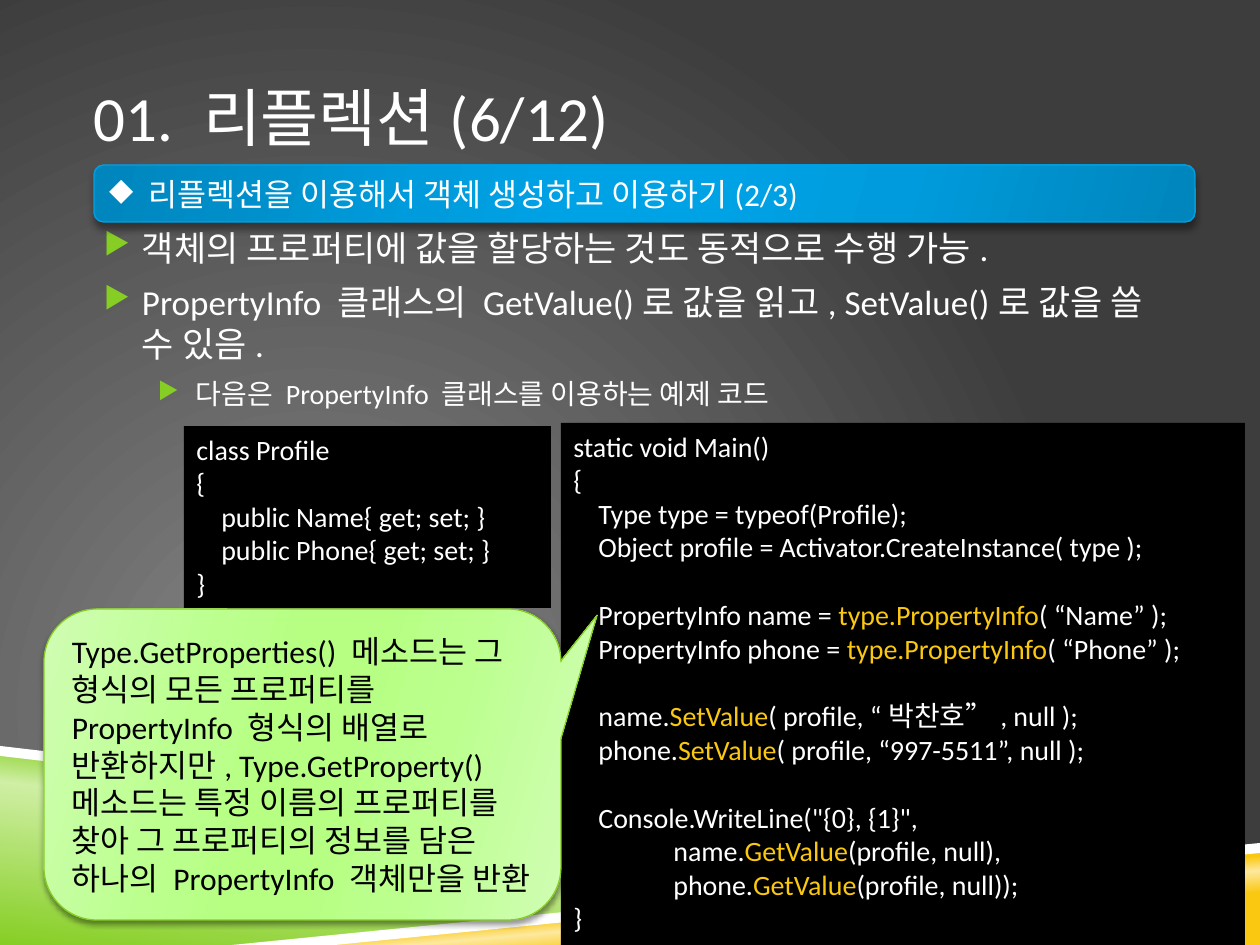
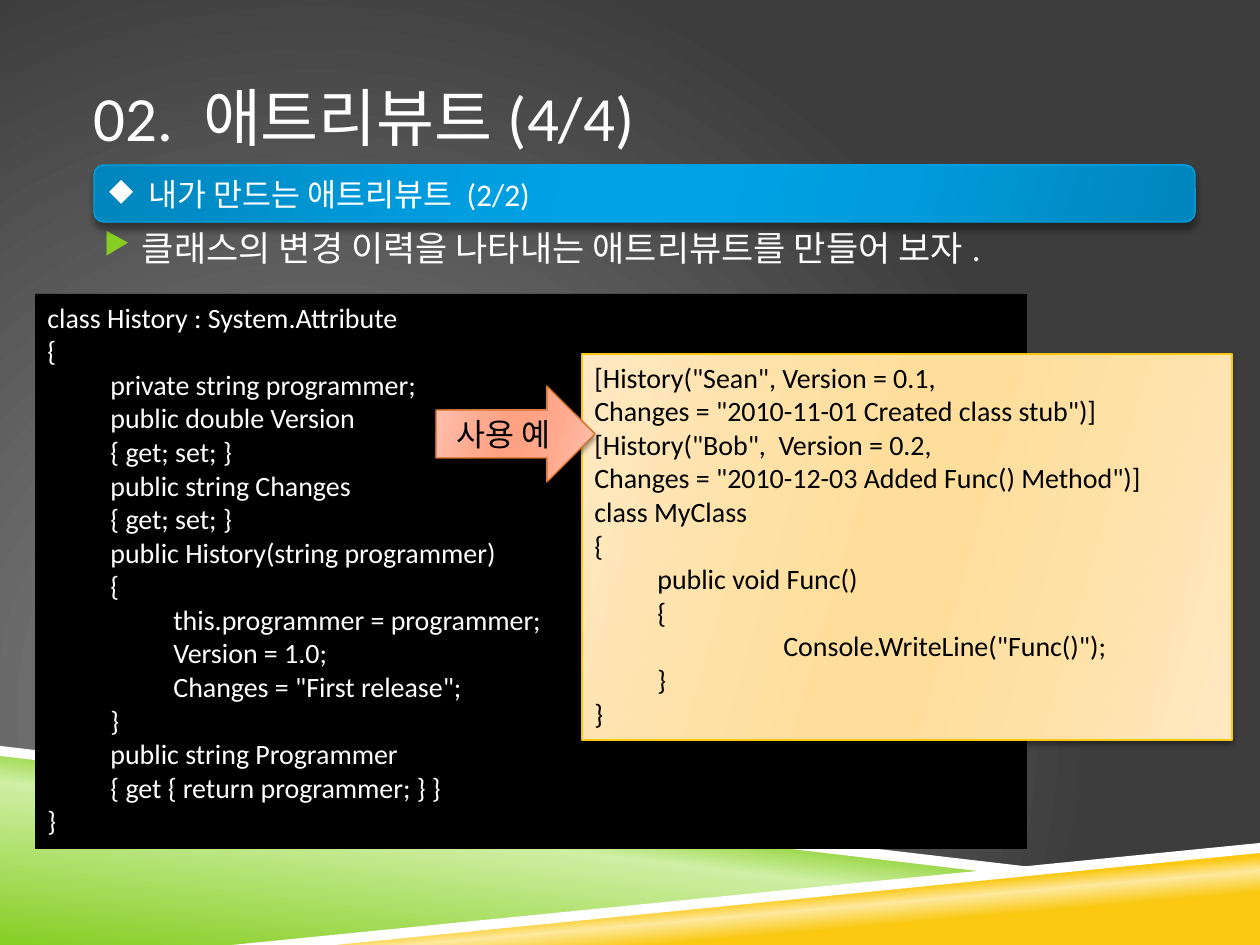
from dataclasses import dataclass

from lxml import etree
from pptx import Presentation
from pptx import util as u
from pptx.dml.color import RGBColor
from pptx.enum import shapes, text
from pptx.oxml.ns import qn

SCALE = 914400 / 126  # EMU in one pixel
FONT = "Calibri"
STEP = 63             # one level of code indent
BLANK_LINE = 19.5     # points left open between groups of code

COLORS = {
    "white": "FFFFFF", "black": "000000", "gold": "FAC810", "green": "86CE24",
    "pale green": "CFEFA4", "pale gold": "FDE99F", "grey": "878787",
    "dark": "3D3D3D", "blue": "00A2E6", "rust": "D06B20",
}
# Edge, shoulder and centre of each glossy fill
GLOSS = {
    "blue": ("0085BC", "009BDC", "00A2E6"),
    "lime": ("D0FDB3", "BCFF8F", "B6FF82"),
    "cream": ("FFE9C3", "FFE1A6", "FFDE9C"),
    "salmon": ("FEC3B2", "FFAA8F", "FFA283"),
}


@dataclass
class Line:
    """A paragraph; parts between bars are written in gold."""
    text: str
    indent: int = 0
    hang: int = 0
    before: float = 0
    size: int = 16
    bullet: str = ""
    bullet_color: str = "white"
    bullet_size: int = 100


@dataclass
class Panel:
    kind: shapes.MSO_SHAPE
    at: tuple
    lines: list
    ink: str = "white"
    gloss: str = ""
    outline: str = ""
    shadow: tuple = (3, 2)
    anchor: text.MSO_ANCHOR = text.MSO_ANCHOR.MIDDLE
    align: text.PP_ALIGN = text.PP_ALIGN.LEFT
    grow: bool = False
    adjust: tuple = ()


@dataclass
class Band:
    points: list
    stops: tuple = ()
    angle: int = 0


BANDS = [
    Band([(0, 752), (998, 872), (252, 945), (0, 945)],
         ((0, "green"), (52, "pale green"), (66, "green")), 277),
    Band([(249, 945), (1260, 847), (1260, 945)],
         ((28, "gold"), (40, "pale gold"), (48, "gold")), 265),
    Band([(0, 746), (0, 756), (995, 873), (1048, 869)]),
    Band([(1260, 843), (232, 945), (335, 945), (1260, 853)]),
]


def px(length: float) -> int:
    return round(length * SCALE)


def rgb(name: str) -> RGBColor:
    return RGBColor.from_string(COLORS[name])


def add_node(parent, tag: str, **values):
    return etree.SubElement(parent, qn(tag), {k: str(v) for k, v in values.items()})


def paint_gradient(fill, owner, stops, angle: int | None = None) -> None:
    """Fill with (percent, hex) stops: linear by angle, otherwise circular."""
    fill.gradient()
    grad = next(owner.iter(qn("a:gradFill")))
    for child in list(grad):
        grad.remove(child)
    stop_list = add_node(grad, "a:gsLst")
    for percent, color in stops:
        stop = add_node(stop_list, "a:gs", pos=percent * 1000)
        add_node(stop, "a:srgbClr", val=color)
    if angle is None:
        circle = add_node(grad, "a:path", path="circle")
        add_node(circle, "a:fillToRect", l=50000, t=100000, r=100000, b=50000)
    else:
        add_node(grad, "a:lin", ang=angle * 60000, scaled=0)


def write_lines(frame, lines: list, ink: str, align=text.PP_ALIGN.LEFT) -> None:
    for number, line in enumerate(lines):
        para = frame.add_paragraph() if number else frame.paragraphs[0]
        for key, value in {"alignment": align, "space_before": u.Pt(line.before)}.items():
            setattr(para, key, value)
        props = para._p.get_or_add_pPr()
        props.set("marL", str(px(line.indent)))
        props.set("indent", str(px(-line.hang)))
        if line.bullet:
            color = add_node(props, "a:buClr")
            add_node(color, "a:srgbClr", val=COLORS[line.bullet_color])
            add_node(props, "a:buSzPct", val=line.bullet_size * 1000)
            add_node(props, "a:buChar", char=line.bullet)
        for part, words in enumerate(line.text.split("|")):
            if not words:
                continue
            span = para.add_run()
            span.text = words
            for key, value in {"name": FONT, "size": u.Pt(line.size)}.items():
                setattr(span.font, key, value)
            span.font.color.rgb = rgb("gold" if part % 2 else ink)


def add_text(page, at: tuple, lines: list, anchor) -> None:
    frame = page.shapes.add_textbox(*map(px, at)).text_frame
    settings = {"word_wrap": True, "vertical_anchor": anchor,
                "margin_left": 0, "margin_right": 0}
    for key, value in settings.items():
        setattr(frame, key, value)
    write_lines(frame, lines, "white")


def add_panel(page, panel: Panel) -> None:
    box = page.shapes.add_shape(panel.kind, *map(px, panel.at))
    for index, value in enumerate(panel.adjust):
        box.adjustments[index] = value
    box.shadow.inherit = False
    if panel.gloss:
        edge, shoulder, centre = GLOSS[panel.gloss]
        stops = zip((0, 30, 45, 55, 73, 100),
                    (edge, shoulder, centre, centre, shoulder, edge))
        paint_gradient(box.fill, box.element, stops, 16)
        box.line.color.rgb = rgb(panel.outline)
        box.line.width = u.Pt(0.75)
        blur, distance = panel.shadow
        shadow = add_node(next(box.element.iter(qn("a:effectLst"))), "a:outerShdw",
                          blurRad=u.Pt(blur), dist=u.Pt(distance),
                          dir=90 * 60000, rotWithShape=0)
        color = add_node(shadow, "a:srgbClr", val=COLORS["black"])
        add_node(color, "a:alpha", val=40000)
    else:
        box.fill.solid()
        box.fill.fore_color.rgb = rgb("black")
        box.line.fill.background()
    frame = box.text_frame
    fit = text.MSO_AUTO_SIZE.SHAPE_TO_FIT_TEXT if panel.grow else text.MSO_AUTO_SIZE.NONE
    settings = {"word_wrap": True, "vertical_anchor": panel.anchor, "auto_size": fit}
    for key, value in settings.items():
        setattr(frame, key, value)
    write_lines(frame, panel.lines, panel.ink, panel.align)


def code_panel(at: tuple, lines: list, **style) -> Panel:
    return Panel(shapes.MSO_SHAPE.RECTANGLE, at, lines,
                 anchor=text.MSO_ANCHOR.TOP, grow=True, **style)


def code(listing: str, step: int = STEP) -> list:
    """Each leading > is one indent; an empty row becomes space before the next."""
    lines, gap = [], 0
    for row in listing.strip().splitlines():
        if not row:
            gap = BLANK_LINE
            continue
        words = row.lstrip(">")
        lines.append(Line(words, (len(row) - len(words)) * step, before=gap))
        gap = 0
    return lines


def point(words: str, level: int = 0) -> Line:
    return Line(words, 48 + 54 * level, 38, 7, 20 - 4 * level, "▶", "green", 85)


def start_page(deck, title: str, topic: str, points: list):
    """Backdrop, bands, title, topic bar and bullet points."""
    page = deck.slides.add_slide(deck.slide_layouts[6])
    paint_gradient(page.background.fill, page.element,
                   ((0, COLORS["grey"]), (100, COLORS["dark"])))
    for band in BANDS:
        builder = page.shapes.build_freeform(*band.points[0], scale=SCALE)
        builder.add_line_segments(band.points[1:], close=True)
        shape = builder.convert_to_shape()
        shape.shadow.inherit = False
        shape.line.fill.background()
        if band.stops:
            stops = [(percent, COLORS[name]) for percent, name in band.stops]
            paint_gradient(shape.fill, shape.element, stops, band.angle)
        else:
            shape.fill.solid()
            shape.fill.fore_color.rgb = rgb("white")
    add_text(page, (94, 38, 1071, 157), [Line(title, size=36)], text.MSO_ANCHOR.MIDDLE)
    add_text(page, (94, 220, 1071, 560), points, text.MSO_ANCHOR.TOP)
    add_panel(page, Panel(shapes.MSO_SHAPE.ROUNDED_RECTANGLE, (94, 165, 1101, 57),
                          [Line(topic, 39, 39, size=18, bullet="◆")],
                          gloss="blue", outline="blue", shadow=(4, 3.3)))
    return page


PROFILE_CODE = """
class Profile
{
>public Name{ get; set; }
>public Phone{ get; set; }
}
"""
MAIN_CODE = """
static void Main()
{
>Type type = typeof(Profile);
>Object profile = Activator.CreateInstance( type );

>PropertyInfo name = |type.PropertyInfo|( “Name” );
>PropertyInfo phone = |type.PropertyInfo|( “Phone” );

>name.|SetValue|( profile, “박찬호”, null );
>phone.|SetValue|( profile, “997-5511”, null );

>Console.WriteLine("{0}, {1}",
>>>>name.|GetValue|(profile, null),
>>>>phone.|GetValue|(profile, null));
}
"""
HISTORY_CODE = """
class History : System.Attribute
{
>private string programmer;
>public double Version
>{ get; set; }
>public string Changes
>{ get; set; }
>public History(string programmer)
>{
>>this.programmer = programmer;
>>Version = 1.0;
>>Changes = "First release";
>}
>public string Programmer
>{ get { return programmer; } }
}
"""
USAGE_CODE = """
[History("Sean", Version = 0.1,
Changes = "2010-11-01 Created class stub")]
[History("Bob",  Version = 0.2,
Changes = "2010-12-03 Added Func() Method")]
class MyClass
{
>public void Func()
>{
>>>Console.WriteLine("Func()");
>}
}
"""
CALLOUT = ("Type.GetProperties() 메소드는 그 형식의 모든 프로퍼티를 PropertyInfo 형식의 "
           "배열로 반환하지만, Type.GetProperty() 메소드는 특정 이름의 프로퍼티를 찾아 "
           "그 프로퍼티의 정보를 담은 하나의 PropertyInfo 객체만을 반환")

deck = Presentation()
deck.slide_width, deck.slide_height = px(1260), px(945)

# Slide 1: reading and writing properties
page = start_page(deck, "01. 리플렉션(6/12)", "리플렉션을 이용해서 객체 생성하고 이용하기(2/3)", [
    point("객체의 프로퍼티에 값을 할당하는 것도 동적으로 수행 가능."),
    point("PropertyInfo 클래스의 GetValue()로 값을 읽고, SetValue()로 값을 쓸 수 있음."),
    point("다음은 PropertyInfo 클래스를 이용하는 예제 코드", 1),
])
add_panel(page, code_panel((184, 426, 367, 182), code(PROFILE_CODE, 25)))
add_panel(page, code_panel((561, 423, 684, 522), code(MAIN_CODE, 25)))
add_panel(page, Panel(shapes.MSO_SHAPE.ROUNDED_RECTANGULAR_CALLOUT, (44, 609, 517, 311),
                      [Line(CALLOUT, size=18)], "black", "lime", "green",
                      adjust=(0.57, -0.48, 0.17)))

# Slide 2: a custom attribute and its use
page = start_page(deck, "02. 애트리뷰트(4/4)", "내가 만드는 애트리뷰트 (2/2)", [
    point("클래스의 변경 이력을 나타내는 애트리뷰트를 만들어 보자."),
])
add_panel(page, code_panel((35, 294, 992, 555), code(HISTORY_CODE)))
add_panel(page, code_panel((582, 354, 650, 386), code(USAGE_CODE),
                           ink="black", gloss="cream", outline="gold"))
add_panel(page, Panel(shapes.MSO_SHAPE.RIGHT_ARROW, (436, 386, 159, 96),
                      [Line("사용 예", size=18)], "black", "salmon", "rust",
                      align=text.PP_ALIGN.CENTER))

deck.save("out.pptx")
